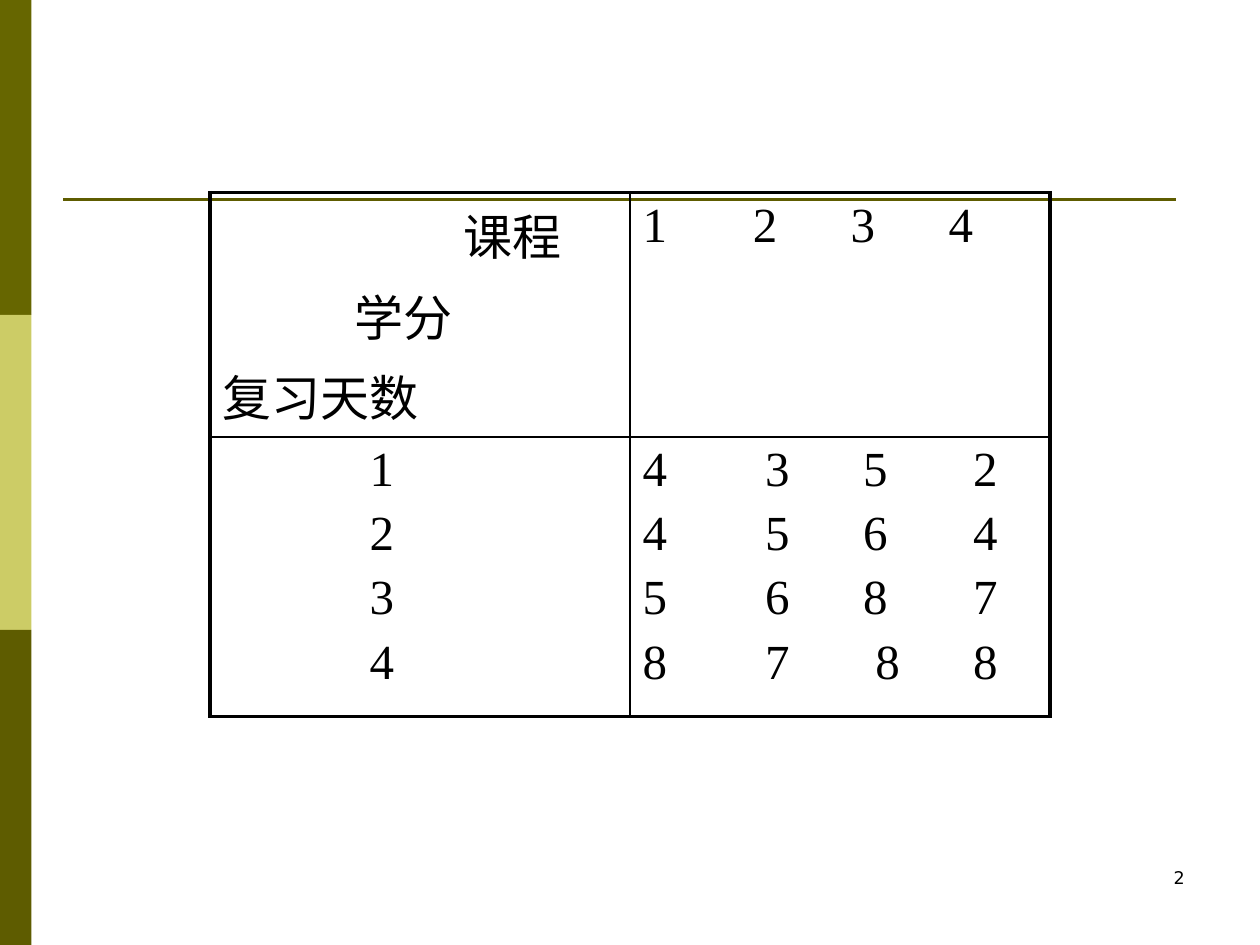
from lxml.etree import SubElement
from pptx import Presentation
from pptx.dml.color import RGBColor as Color
from pptx.enum.shapes import MSO_CONNECTOR as Connector, MSO_SHAPE as Shape
from pptx.enum.text import PP_ALIGN as Align
from pptx.oxml.ns import qn
from pptx.util import Inches, Pt

THEME = {
    "bands": ["666600", "CCCC66", "5E5C00"],
    "rule": "5E5C00",
    "ink": "000000",
    "table": {"name": "Times New Roman", "size": Pt(28)},
    "number": {"name": "DejaVu Sans", "size": Pt(10)},
    "outer": Pt(2.25),
    "inner": Pt(1),
}

presentation = Presentation()
presentation.slide_width, presentation.slide_height = Inches(10), Inches(7.5)
slide = presentation.slides.add_slide(presentation.slide_layouts[6])

# Grid of 120 columns by 90 rows; a space of the table type is a quarter em
UNIT = presentation.slide_width // 120
SPACE = THEME["table"]["size"] // 4


def grid(*units):
    return [round(unit * UNIT) for unit in units]


def write(paragraph, text, style):
    run = paragraph.add_run()
    run.text = text
    for name, value in THEME[style].items():
        setattr(run.font, name, value)
    run.font.color.rgb = Color.from_string(THEME["ink"])
    return run


# Side bands
for index, color in enumerate(THEME["bands"]):
    band = slide.shapes.add_shape(Shape.RECTANGLE, *grid(0, 30 * index, 3, 30))
    band.shadow.inherit = False
    band.fill.solid()
    band.fill.fore_color.rgb = Color.from_string(color)
    band.line.fill.background()

# Title rule
rule = slide.shapes.add_connector(Connector.STRAIGHT, *grid(6, 19, 112, 19))
rule.line.color.rgb = Color.from_string(THEME["rule"])
rule.line.width = Pt(1.5)
SubElement(rule._element.spPr, qn("a:effectLst"))

# Slide number
number_box = slide.shapes.add_textbox(*grid(86, 82, 28, 6))
number_box.text_frame.word_wrap = True
number_paragraph = number_box.text_frame.paragraphs[0]
number_paragraph.alignment = Align.RIGHT
write(number_paragraph, "2", "number")

# Each line: words, left indent and the gaps between words, counted in spaces
CELLS = [
    [
        [(["课程"], 19.65, []), (["学分"], 10.75, []), (["复习天数"], 0, [])],
        [("1234", 0, [7, 6, 6])],
    ],
    [
        [(day, 12, []) for day in "1234"],
        [
            ("4352", 0, [8, 6, 7]),
            ("4564", 0, [8, 6, 7]),
            ("5687", 0, [8, 6, 7]),
            ("8788", 0, [8, 7, 6]),
        ],
    ],
]

# Table
table = slide.shapes.add_table(2, 2, *grid(20, 18.33, 80, 50)).table
table.first_row = table.horz_banding = False
for row, height in zip(table.rows, (1.94, 2.22)):
    row.height = Inches(height)

for row_index, row_cells in enumerate(CELLS):
    for column_index, lines in enumerate(row_cells):
        cell = table.cell(row_index, column_index)

        # Cell text: one space between words, widened by letter spacing
        for index, (words, indent, gaps) in enumerate(lines):
            frame = cell.text_frame
            paragraph = frame.add_paragraph() if index else frame.paragraphs[0]
            write(paragraph, words[0], "table")
            for gap, word in zip(gaps, words[1:]):
                blank = write(paragraph, " ", "table")
                spacing = round((gap - 1) * Pt(SPACE / Pt(1)).pt * 100)
                blank.font._element.set("spc", str(spacing))
                write(paragraph, word, "table")
            properties = paragraph._p.get_or_add_pPr()
            properties.set("marL", str(round(indent * SPACE)))
            properties.set("indent", "0")
            before = SubElement(properties, qn("a:spcBef"))
            SubElement(before, qn("a:spcPct"), val="20000")

        # Cell borders: heavy outside, thin inside
        outside = {
            "L": column_index == 0,
            "R": column_index == 1,
            "T": row_index == 0,
            "B": row_index == 1,
        }
        cell_properties = cell._tc.get_or_add_tcPr()
        for side, is_outer in outside.items():
            width = THEME["outer" if is_outer else "inner"]
            border = SubElement(cell_properties, qn(f"a:ln{side}"), w=str(width))
            fill = SubElement(border, qn("a:solidFill"))
            SubElement(fill, qn("a:srgbClr"), val=THEME["ink"])
        cell.fill.background()

presentation.save("out.pptx")
